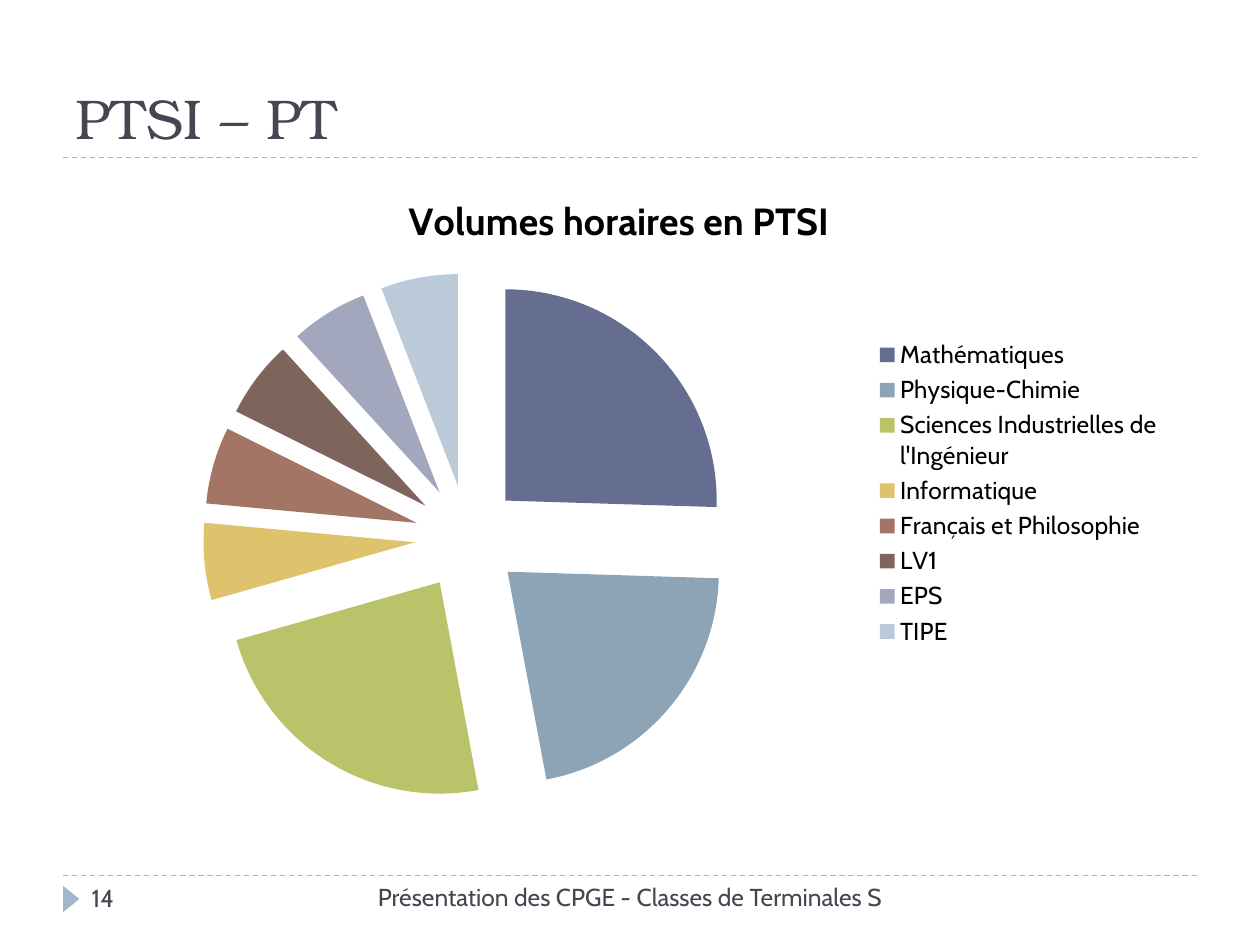
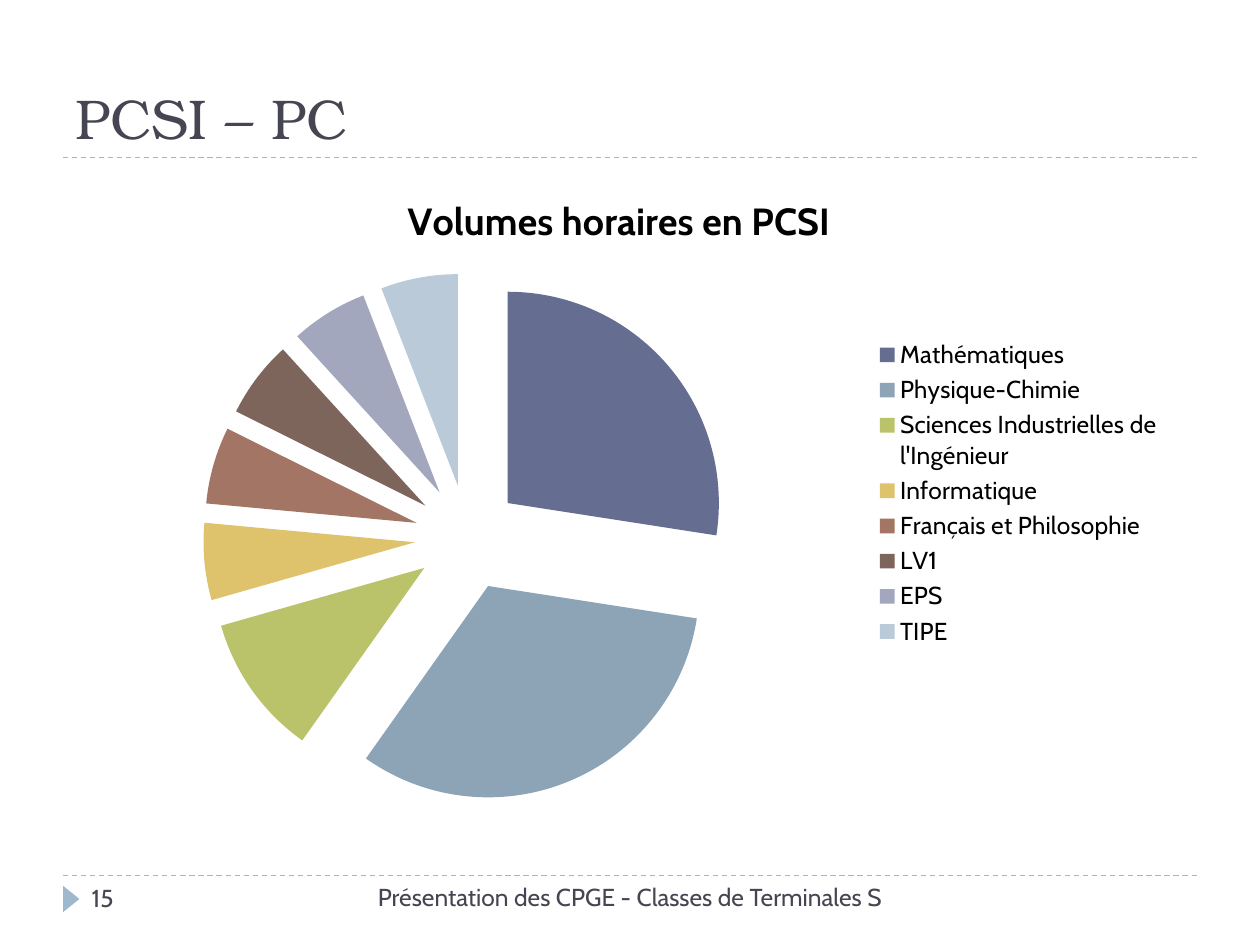
"""Build two slides showing the weekly teaching hours of PTSI and PCSI."""
from dataclasses import dataclass

from pptx import Presentation
from pptx.chart.data import CategoryChartData
from pptx.dml.color import RGBColor
from pptx.enum.chart import XL_CHART_TYPE, XL_LEGEND_POSITION
from pptx.enum.dml import MSO_LINE
from pptx.enum.shapes import MSO_CONNECTOR, MSO_SHAPE
from pptx.enum.text import MSO_ANCHOR, MSO_AUTO_SIZE, PP_ALIGN
from pptx.oxml.ns import qn
from pptx.oxml.xmlchemy import OxmlElement
from pptx.slide import Slide
from pptx.text.text import Font
from pptx.util import Pt


@dataclass(frozen=True)
class Theme:
    """Colours, fonts and type sizes shared by the slides."""
    heading_font: str = "TeX Gyre Bonum"
    body_font: str = "Cabin"
    text: str = "464653"
    chart_text: str = "000000"
    rule: str = "B2B2B2"
    marker: str = "9FB8CD"
    slices: tuple[str, ...] = (
        "656E90", "8DA3B6", "BAC36A", "DEC26C",
        "A37564", "7E655C", "A3A7BE", "BBCAD9",
    )
    title_size: float = 32
    chart_title_size: float = 21.6
    chart_size: float = 18
    small_size: float = 14


@dataclass(frozen=True)
class Box:
    """A position and size in points."""
    left: float
    top: float
    width: float
    height: float

    def lengths(self) -> tuple[Pt, Pt, Pt, Pt]:
        """Return the four lengths as python-pptx expects them."""
        return Pt(self.left), Pt(self.top), Pt(self.width), Pt(self.height)


@dataclass(frozen=True)
class Track:
    """One preparatory track and its hours per subject."""
    title: str
    first_year: str
    number: int
    hours: tuple[int, ...]


THEME = Theme()
TITLE_BOX = Box(36, 12.24, 648, 77.76)
CHART_BOX = Box(36, 95.76, 635.76, 372.24)
FOOTER_BOX = Box(190.08, 500.4, 339.84, 28.8)
NUMBER_BOX = Box(45.36, 501.12, 156.24, 28.8)
MARKER_BOX = Box(33.12, 509.04, 15.12, 9.36)
RULE_TOPS = (500.4, 90)
RULE_LEFT, RULE_RIGHT = 36, 684
EXPLOSION = 25
FOOTER = "Présentation des CPGE - Classes de Terminales S"
SUBJECTS = (
    "Mathématiques", "Physique-Chimie", "Sciences Industrielles de l'Ingénieur",
    "Informatique", "Français et Philosophie", "LV1", "EPS", "TIPE",
)
TRACKS = (
    Track("PTSI – PT", "PTSI", 14, (26, 22, 24, 6, 6, 6, 6, 6)),
    Track("PCSI – PC", "PCSI", 15, (28, 33, 11, 6, 6, 6, 6, 6)),
)


def style_font(font: Font, size: float, color: str,
               name: str = THEME.body_font, bold: bool = False) -> None:
    """Apply typeface, size, colour and weight."""
    font.name = name
    font.size = Pt(size)
    font.bold = bold
    font.color.rgb = RGBColor.from_string(color)


def add_rule(slide: Slide, top: float) -> None:
    """Draw a dashed line across the slide."""
    rule = slide.shapes.add_connector(
        MSO_CONNECTOR.STRAIGHT, Pt(RULE_LEFT), Pt(top), Pt(RULE_RIGHT), Pt(top))
    rule.line.color.rgb = RGBColor.from_string(THEME.rule)
    rule.line.width = Pt(0.75)
    rule.line.dash_style = MSO_LINE.DASH
    rule._element.spPr.append(OxmlElement("a:effectLst"))


def add_label(slide: Slide, box: Box, text: str, alignment: PP_ALIGN) -> None:
    """Add a line of text to the footer band."""
    text_frame = slide.shapes.add_textbox(*box.lengths()).text_frame
    text_frame.word_wrap = True
    text_frame.text = text
    paragraph = text_frame.paragraphs[0]
    paragraph.alignment = alignment
    style_font(paragraph.runs[0].font, THEME.small_size, THEME.text)


def add_frame(slide: Slide, track: Track) -> None:
    """Add the rules, page marker, footer texts and title."""
    for top in RULE_TOPS:
        add_rule(slide, top)
    marker = slide.shapes.add_shape(MSO_SHAPE.ISOSCELES_TRIANGLE, *MARKER_BOX.lengths())
    marker.rotation = 90
    marker.shadow.inherit = False
    marker.fill.solid()
    marker.fill.fore_color.rgb = RGBColor.from_string(THEME.marker)
    marker.line.fill.background()
    add_label(slide, FOOTER_BOX, FOOTER, PP_ALIGN.CENTER)
    add_label(slide, NUMBER_BOX, str(track.number), PP_ALIGN.LEFT)

    title = slide.shapes.title
    title.left, title.top, title.width, title.height = TITLE_BOX.lengths()
    text_frame = title.text_frame
    text_frame.text = track.title
    text_frame.auto_size = MSO_AUTO_SIZE.NONE
    text_frame.vertical_anchor = MSO_ANCHOR.BOTTOM
    paragraph = text_frame.paragraphs[0]
    paragraph.alignment = PP_ALIGN.LEFT
    style_font(paragraph.runs[0].font, THEME.title_size, THEME.text, THEME.heading_font)


def explosion_element() -> OxmlElement:
    """Return the element that pulls slices away from the centre."""
    element = OxmlElement("c:explosion")
    element.set("val", str(EXPLOSION))
    return element


def add_hours_chart(slide: Slide, track: Track) -> None:
    """Add the exploded pie of hours per subject."""
    data = CategoryChartData()
    data.categories = SUBJECTS
    data.add_series("Series 1", track.hours)
    chart = slide.shapes.add_chart(XL_CHART_TYPE.PIE, *CHART_BOX.lengths(), data).chart
    style_font(chart.font, THEME.chart_size, THEME.chart_text)

    chart.has_title = True
    title_frame = chart.chart_title.text_frame
    title_frame.text = f"Volumes horaires en {track.first_year}"
    style_font(title_frame.paragraphs[0].runs[0].font, THEME.chart_title_size,
               THEME.chart_text, bold=True)

    chart.has_legend = True
    chart.legend.position = XL_LEGEND_POSITION.RIGHT
    chart.legend.include_in_layout = False
    style_font(chart.legend.font, THEME.small_size, THEME.chart_text)

    plot = chart.plots[0]
    plot.vary_by_categories = True
    series = plot.series[0]
    for index, color in enumerate(THEME.slices):
        point_format = series.points[index].format
        point_format.fill.solid()
        point_format.fill.fore_color.rgb = RGBColor.from_string(color)
        point_format.line.fill.background()
    points = series._element.findall(qn("c:dPt"))
    points[0].addprevious(explosion_element())
    for point in points:
        point.find(qn("c:spPr")).addprevious(explosion_element())


def main() -> None:
    """Build and save the presentation."""
    presentation = Presentation()
    presentation.slide_width, presentation.slide_height = Pt(720), Pt(540)
    title_only = presentation.slide_layouts[5]
    for track in TRACKS:
        slide = presentation.slides.add_slide(title_only)
        add_frame(slide, track)
        add_hours_chart(slide, track)
    presentation.save("out.pptx")


if __name__ == "__main__":
    main()
